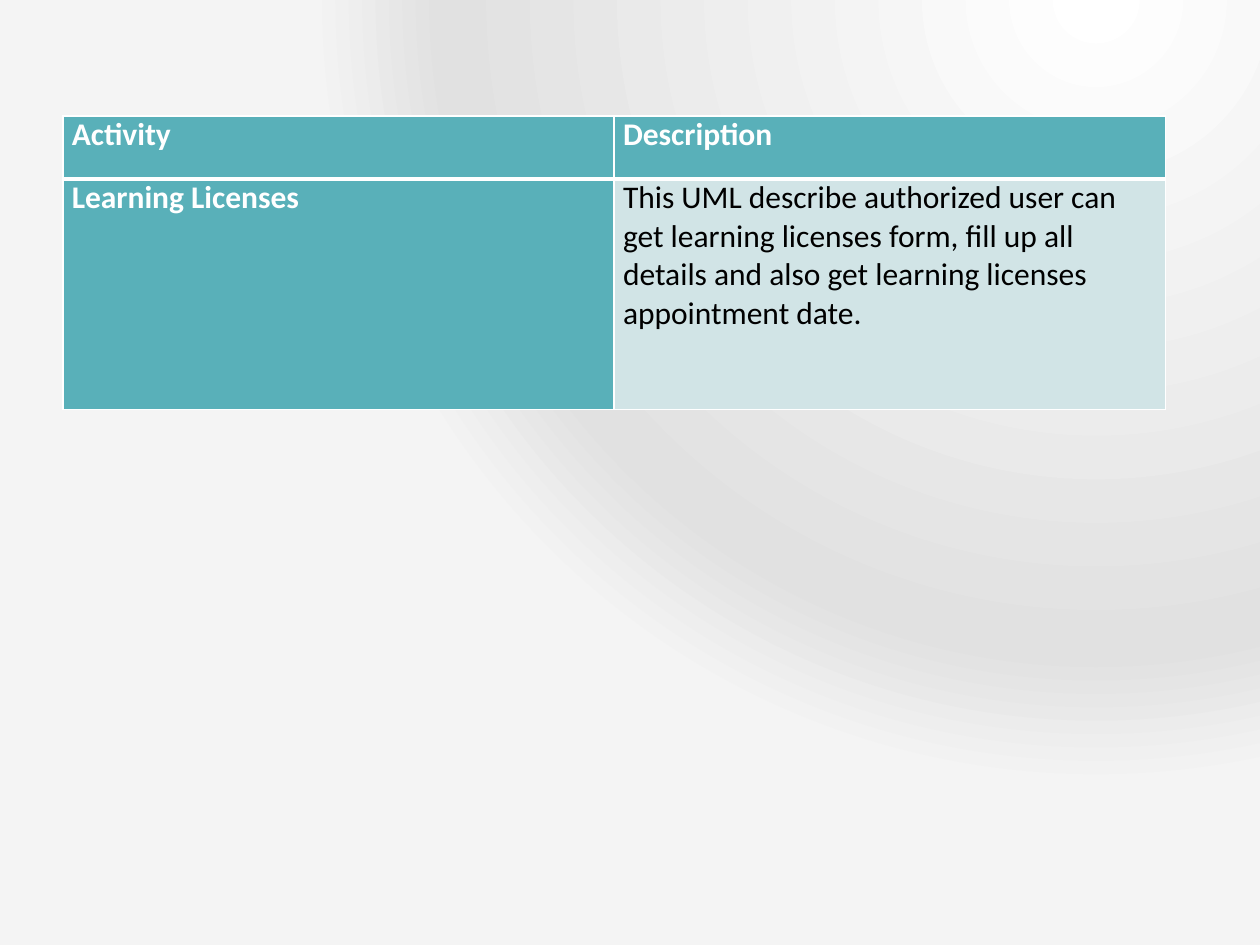
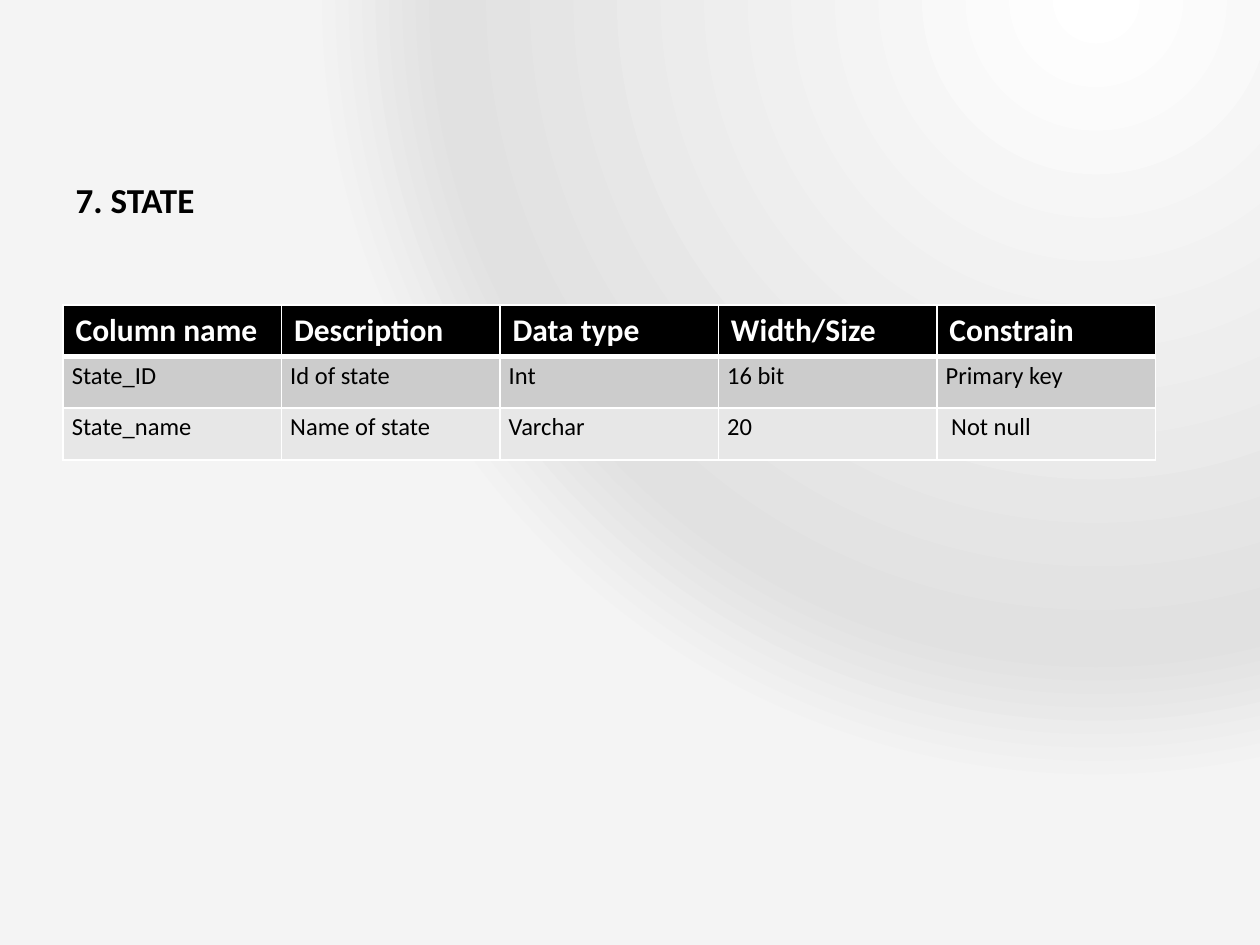
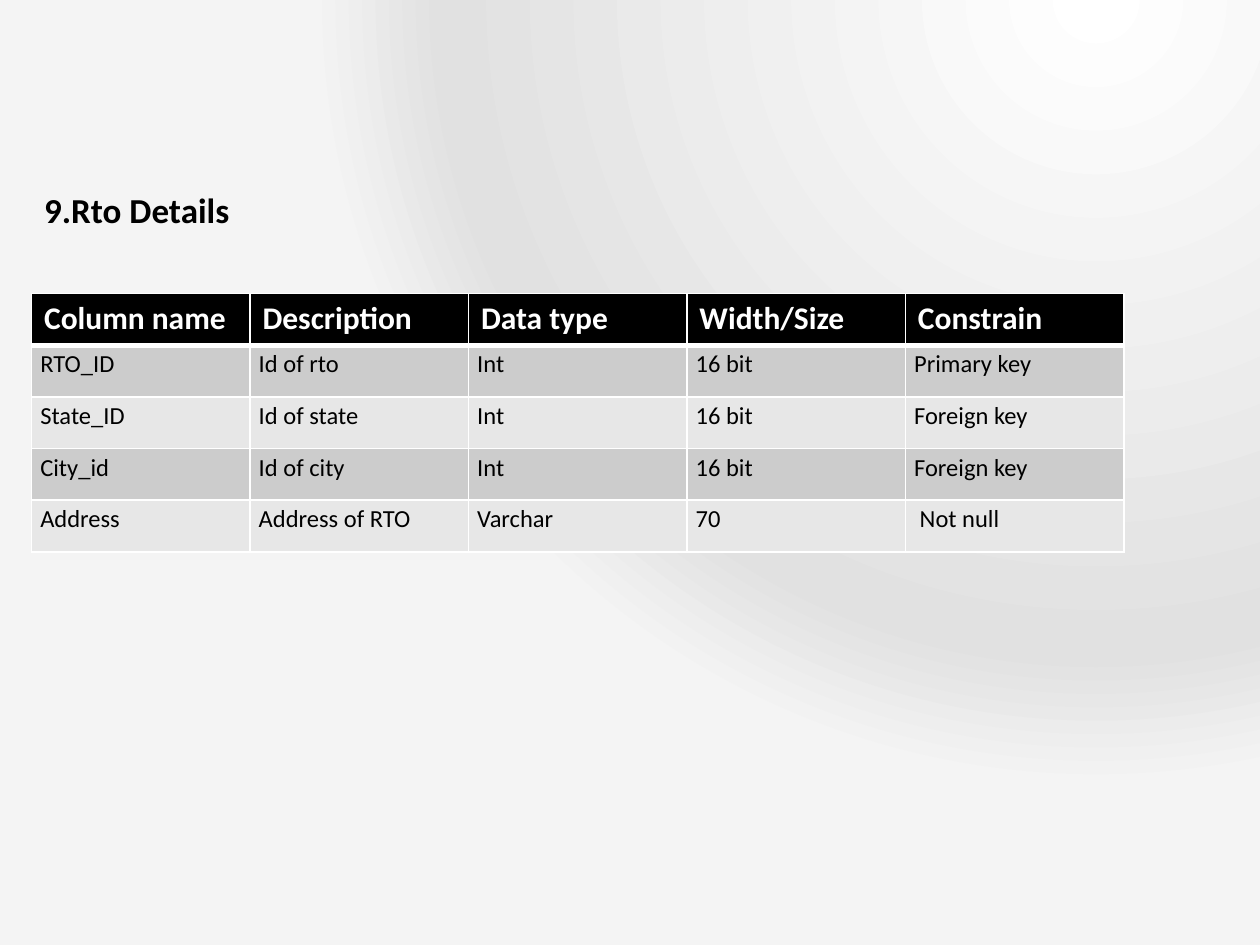
from dataclasses import dataclass

from pptx import Presentation
from pptx.dml.color import RGBColor
from pptx.enum.text import MSO_ANCHOR, MSO_AUTO_SIZE, PP_ALIGN
from pptx.oxml import parse_xml
from pptx.oxml.ns import nsdecls
from pptx.util import Inches, Pt

WHITE = RGBColor(0xFF, 0xFF, 0xFF)
BLACK = RGBColor(0x00, 0x00, 0x00)
TEAL = RGBColor(0x59, 0xB0, 0xB9)
PALE_TEAL = RGBColor(0xD1, 0xE4, 0xE6)
GREY = RGBColor(0xCC, 0xCC, 0xCC)
PALE_GREY = RGBColor(0xE7, 0xE7, 0xE7)
MID_GLOW = RGBColor(0xE1, 0xE1, 0xE1)
EDGE_GLOW = RGBColor(0xF4, 0xF4, 0xF4)

FONT = "Calibri"
TITLE_ONLY, BLANK = 5, 6
GRID_WIDTH, HEADER_RULE = 1, 3
FIELD_WIDTH, FIELD_ROW_HEIGHT = 8.67, 0.41
FIELD_HEADINGS = ["Column name", "Description", "Data type", "Width/Size", "Constrain"]


@dataclass(frozen=True)
class CellStyle:
    """Look of one kind of table cell."""

    fill: RGBColor
    color: RGBColor
    size: int = 18
    bold: bool = False
    side_inset: float = 0.07
    top_inset: float = 0
    spacing: float = 1.0


ACTIVITY_HEADING = CellStyle(TEAL, WHITE, bold=True)
ACTIVITY_TEXT = CellStyle(PALE_TEAL, BLACK)
FIELD_HEADING = CellStyle(BLACK, WHITE, bold=True, side_inset=0.1, top_inset=0.05)
FIELD_BANDS = [CellStyle(fill, BLACK, size=14, spacing=1.15) for fill in (GREY, PALE_GREY)]


def paint_background(master):
    """Give every slide the radial glow from the upper right."""
    stops = "".join(
        f'<a:gs pos="{position * 1000}"><a:srgbClr val="{color}"/></a:gs>'
        for position, color in ((0, WHITE), (83, MID_GLOW), (100, EDGE_GLOW))
    )
    glow = parse_xml(
        f'<a:gradFill {nsdecls("a")} rotWithShape="1"><a:gsLst>{stops}</a:gsLst>'
        '<a:path path="circle"><a:fillToRect l="75000" t="100000" r="0" b="300000"/></a:path>'
        "</a:gradFill>"
    )
    master.background.fill.solid()
    background = master.element.cSld.bg.bgPr
    background.replace(background[0], glow)


def write_run(paragraph, text, size, color, bold):
    """Add one run in the shared font."""
    run = paragraph.add_run()
    run.text = text
    run.font.name = FONT
    run.font.size = Pt(size)
    run.font.bold = bold
    run.font.color.rgb = color


def draw_borders(cell, row):
    """Draw white cell edges, with a heavier rule under the heading row."""
    top = HEADER_RULE if row == 1 else GRID_WIDTH
    bottom = HEADER_RULE if row == 0 else GRID_WIDTH
    properties = cell._tc.get_or_add_tcPr()
    for side, width in zip("LRTB", (GRID_WIDTH, GRID_WIDTH, top, bottom)):
        properties.append(parse_xml(
            f'<a:ln{side} {nsdecls("a")} w="{Pt(width)}"><a:solidFill>'
            f'<a:srgbClr val="{WHITE}"/></a:solidFill></a:ln{side}>'
        ))


def fill_cell(cell, text, style, row):
    """Write and format one table cell."""
    draw_borders(cell, row)
    cell.fill.solid()
    cell.fill.fore_color.rgb = style.fill
    cell.margin_left = cell.margin_right = Inches(style.side_inset)
    cell.margin_top = cell.margin_bottom = Inches(style.top_inset)
    paragraph = cell.text_frame.paragraphs[0]
    paragraph.line_spacing = style.spacing
    write_run(paragraph, text, style.size, style.color, style.bold)


def add_grid(slide, left, top, width, heights, rows, style_of):
    """Add a table of equal columns, styled by row and column."""
    column_count = len(rows[0])
    table = slide.shapes.add_table(
        len(rows), column_count, Inches(left), Inches(top), Inches(width), Inches(sum(heights))
    ).table
    for column in table.columns:
        column.width = Inches(width / column_count)
    for r, (height, texts) in enumerate(zip(heights, rows)):
        table.rows[r].height = Inches(height)
        for c, text in enumerate(texts):
            fill_cell(table.cell(r, c), text, style_of(r, c), r)


def add_title(slide, text, left, top, width, height):
    """Place and format the slide title."""
    title = slide.shapes.title
    title.left, title.top = Inches(left), Inches(top)
    title.width, title.height = Inches(width), Inches(height)
    frame = title.text_frame
    frame.word_wrap = True
    frame.auto_size = MSO_AUTO_SIZE.NONE
    frame.vertical_anchor = MSO_ANCHOR.MIDDLE
    heading = frame.paragraphs[0]
    heading.alignment = PP_ALIGN.LEFT
    write_run(heading, text, 20, BLACK, True)


def activity_slide(prs, rows):
    """Add a slide describing an activity."""
    slide = prs.slides.add_slide(prs.slide_layouts[BLANK])
    add_grid(
        slide, 0.5, 0.92, 8.75, [0.5, 1.83], rows,
        lambda r, c: ACTIVITY_TEXT if r and c else ACTIVITY_HEADING,
    )


def field_slide(prs, title, title_box, left, top, fields):
    """Add a titled slide listing the fields of a database table."""
    slide = prs.slides.add_slide(prs.slide_layouts[TITLE_ONLY])
    add_title(slide, title, left, *title_box)
    rows = [FIELD_HEADINGS, *fields]
    add_grid(
        slide, left, top, FIELD_WIDTH, [FIELD_ROW_HEIGHT] * len(rows), rows,
        lambda r, c: FIELD_BANDS[(r - 1) % 2] if r else FIELD_HEADING,
    )


def main():
    """Build and save the presentation."""
    prs = Presentation()
    prs.slide_width, prs.slide_height = Inches(10), Inches(7.5)
    paint_background(prs.slide_master)
    activity_slide(prs, [
        ["Activity", "Description"],
        ["Learning Licenses",
         "This UML describe authorized user can get learning licenses form, fill up all "
         "details and also get learning licenses appointment date."],
    ])
    field_slide(prs, "7. STATE", (0.17, 7.58, 2.83), 0.5, 2.42, [
        ["State_ID", "Id of state", "Int", "16 bit", "Primary key"],
        ["State_name", "Name of state", "Varchar", "20", " Not null"],
    ])
    field_slide(prs, "9.Rto Details", (0.5, 8.17, 2.33), 0.25, 2.33, [
        ["RTO_ID", "Id of rto", "Int", "16 bit", "Primary key"],
        ["State_ID", "Id of state", "Int", "16 bit", "Foreign key"],
        ["City_id", "Id of city", "Int", "16 bit", "Foreign key"],
        ["Address", "Address of RTO", "Varchar", "70", " Not null"],
    ])
    prs.save("out.pptx")


if __name__ == "__main__":
    main()
